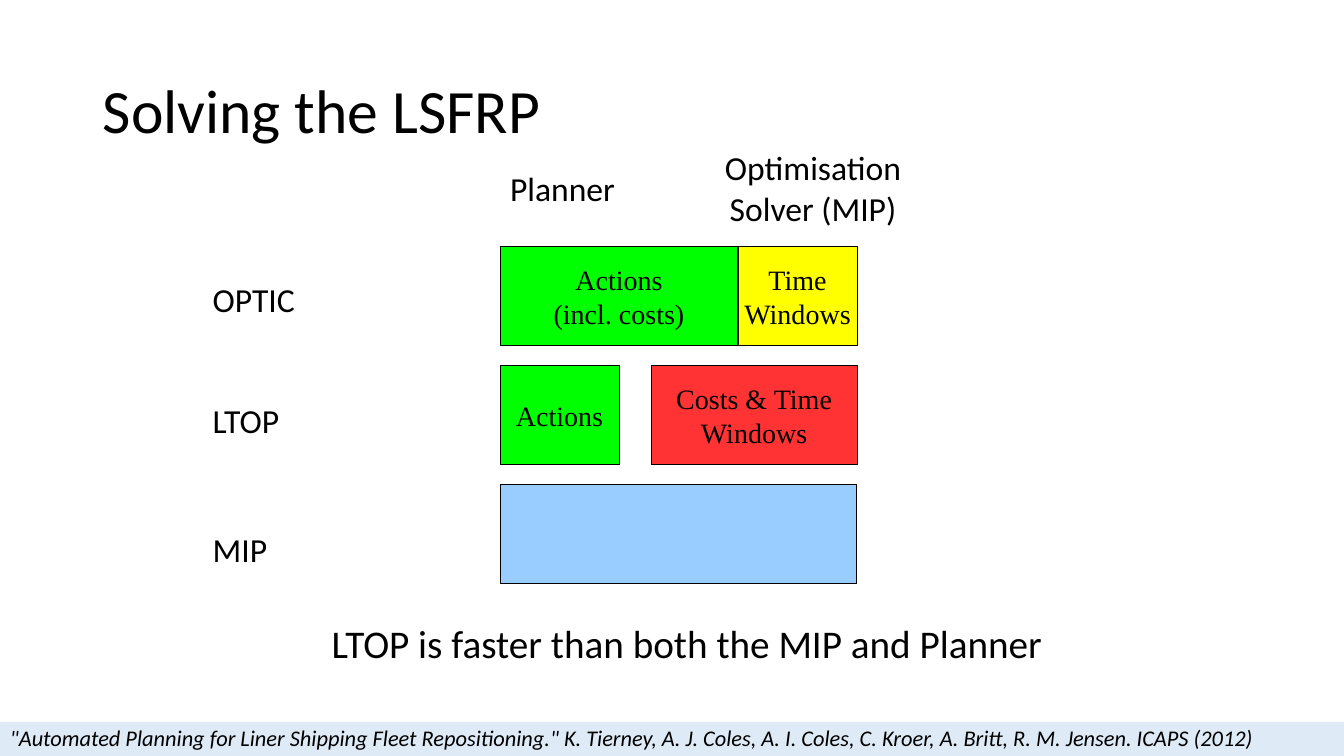
from pptx import Presentation
from pptx import util as u
from pptx.dml import color
from pptx.enum import shapes, text
from pptx.oxml import xmlchemy

LEFT = text.PP_ALIGN.LEFT
CENTER = text.PP_ALIGN.CENTER
BOX_STYLE = {"name": "Times New Roman", "size": u.Pt(20)}
GREEN, YELLOW, RED, BLUE = "00FF00", "FFFF00", "FF3333", "99CCFF"


def paint(target, value):
    target.rgb = color.RGBColor.from_string(value)


def assign(target, values):
    for name, value in values.items():
        setattr(target, name, value)


class SlideBuilder:
    unit, grid_left, grid_top = 1.18, 4.96, 2.45
    box_rows = 0.83

    def __init__(self, presentation):
        self.width = presentation.slide_width
        self.height = presentation.slide_height
        self.slide = presentation.slides.add_slide(presentation.slide_layouts[1])

    def cell(self, column, row, columns, rows):
        left = self.grid_left + column * self.unit
        top = self.grid_top + row * self.unit
        return [u.Inches(value) for value in
                (left, top, columns * self.unit, rows * self.unit)]

    def percent(self, left, top, width, height):
        return [int(self.width * left / 100), int(self.height * top / 100),
                int(self.width * width / 100), int(self.height * height / 100)]

    def set_lines(self, shape, lines, frame=None, paragraph_style=None, font=None):
        text_frame = shape.text_frame
        assign(text_frame, {"word_wrap": True, "auto_size": text.MSO_AUTO_SIZE.NONE,
                            **(frame or {})})
        for index, line in enumerate(lines):
            paragraph = text_frame.paragraphs[0] if index == 0 else text_frame.add_paragraph()
            paragraph.text = line
            assign(paragraph, {"alignment": LEFT, "space_before": u.Pt(0),
                               **(paragraph_style or {})})
            assign(paragraph.font, {"name": "Calibri", "size": u.Pt(24), **(font or {})})
            paint(paragraph.font.color, "000000")

    def placeholder(self, index, line, area, size, spacing, anchor):
        shape = self.slide.placeholders[index]
        assign(shape, dict(zip(("left", "top", "width", "height"), self.percent(*area))))
        if index:
            properties = shape.text_frame.paragraphs[0]._p.get_or_add_pPr()
            properties.set("marL", "0")
            properties.set("indent", "0")
            properties.append(xmlchemy.OxmlElement("a:buNone"))
        self.set_lines(shape, [line], {"vertical_anchor": anchor},
                       {"line_spacing": spacing}, {"size": u.Pt(size)})

    def label(self, lines, column, row, columns, rows=0.33, alignment=LEFT):
        shape = self.slide.shapes.add_textbox(*self.cell(column, row, columns, rows))
        self.set_lines(shape, lines, paragraph_style={"alignment": alignment})

    def filled(self, kind, area, fill):
        shape = self.slide.shapes.add_shape(kind, *area)
        shape.shadow.inherit = False
        shape.fill.solid()
        paint(shape.fill.fore_color, fill)
        return shape

    def box(self, lines, column, row, columns, fill, margin=0.1):
        shape = self.filled(shapes.MSO_SHAPE.ROUNDED_RECTANGLE,
                            self.cell(column, row, columns, self.box_rows), fill)
        shape.adjustments[0] = 0
        paint(shape.line.color, "000000")
        shape.line.width = u.Pt(0.75)
        self.set_lines(shape, lines,
                       {"vertical_anchor": text.MSO_ANCHOR.MIDDLE,
                        "margin_left": u.Inches(margin), "margin_right": u.Inches(margin)},
                       {"alignment": CENTER}, BOX_STYLE)

    def citation(self, line, area):
        shape = self.filled(shapes.MSO_SHAPE.RECTANGLE, self.percent(*area), "DEEBF7")
        shape.line.fill.background()
        self.set_lines(shape, [line], {"vertical_anchor": text.MSO_ANCHOR.MIDDLE},
                       {"line_spacing": 0.9}, {"size": u.Pt(16), "italic": True})


def main():
    presentation = Presentation()
    assign(presentation, {"slide_width": u.Inches(13.33), "slide_height": u.Inches(7.5)})
    builder = SlideBuilder(presentation)

    builder.placeholder(0, "Solving the LSFRP", (6.9, 5.33, 86.25, 19.33), 44, 0.9,
                        text.MSO_ANCHOR.MIDDLE)
    builder.placeholder(1, "LTOP is faster than both the MIP and Planner",
                        (23.93, 82.4, 70, 6.8), 28, 0.8, text.MSO_ANCHOR.TOP)

    builder.label(["Planner"], 0, -0.71, 1.2)
    builder.label(["Optimisation", "Solver (MIP)"], 1.71, -0.88, 1.84, 0.58, CENTER)
    for name, row in (("OPTIC", 0.23), ("LTOP", 1.24), ("MIP", 2.33)):
        builder.label([name], -2.5, row, 1)

    for lines, column, row, columns, fill, margin in (
        (["Actions", "(incl. costs)"], 0, 0, 2, GREEN, 0.1),
        (["Time", "Windows"], 2, 0, 1, YELLOW, 0.02),
        (["Actions"], 0, 1, 1, GREEN, 0.1),
        (["Costs & Time", "Windows"], 1.27, 1, 1.73, RED, 0.1),
        ([], 0, 2, 3, BLUE, 0.1),
    ):
        builder.box(lines, column, row, columns, fill, margin)

    builder.citation(
        '"Automated Planning for Liner Shipping Fleet Repositioning." K. Tierney, '
        "A. J. Coles, A. I. Coles, C. Kroer, A. Britt, R. M. Jensen. ICAPS (2012)",
        (0, 95.5, 100, 4.5))
    presentation.save("out.pptx")


if __name__ == "__main__":
    main()
